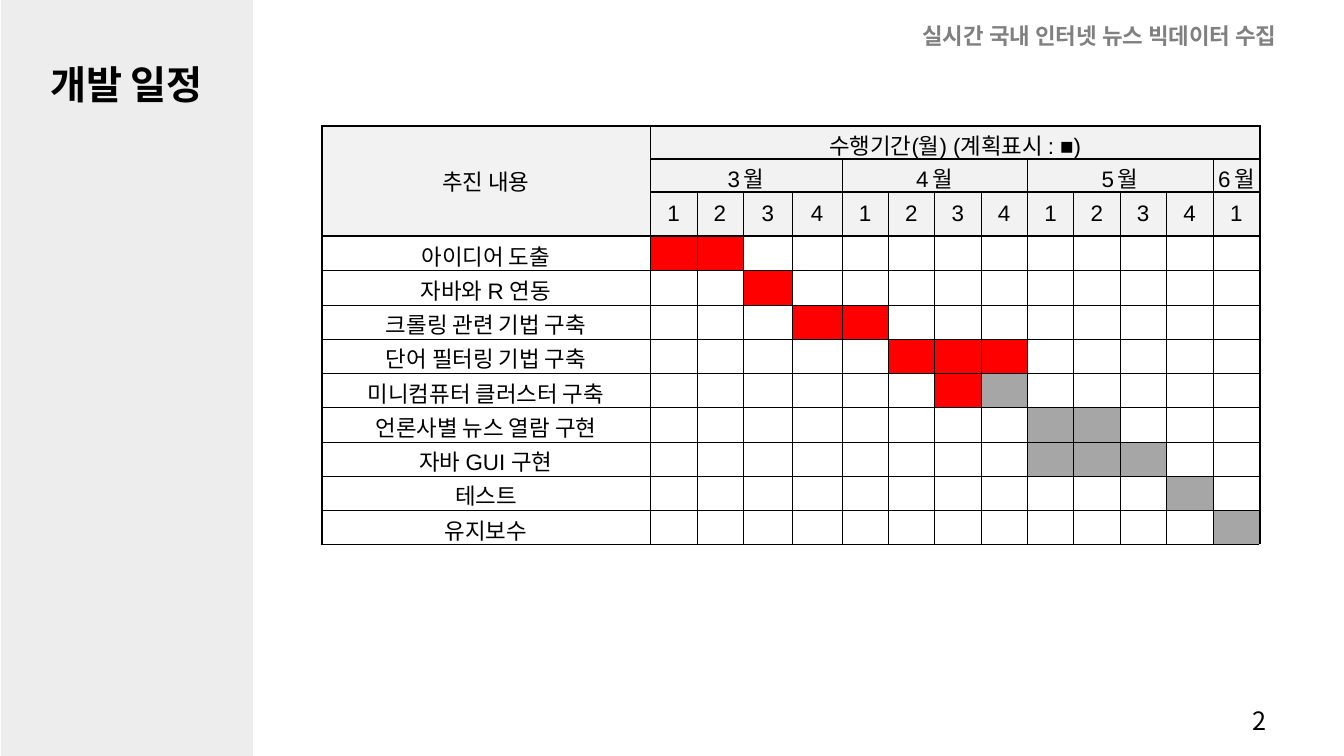
from dataclasses import dataclass

import lxml.etree
import pptx
import pptx.dml.color
import pptx.enum.shapes
import pptx.enum.text
import pptx.oxml.ns
import pptx.util

Inches = pptx.util.Inches
ALIGN = pptx.enum.text.PP_ALIGN
MIDDLE = pptx.enum.text.MSO_ANCHOR.MIDDLE


@dataclass(frozen=True)
class Theme:
    ink: str = "000000"
    paper: str = "FFFFFF"
    muted: str = "808080"
    sidebar: str = "EDEDED"
    header: str = "F2F2F2"
    done: str = "FF0000"
    planned: str = "A6A6A6"
    title_font: str = "Roboto"
    text_font: str = "Noto Sans CJK KR"
    table_font: str = "Arial"
    title_size: int = 28
    number_size: int = 18
    body_size: int = 16
    thin: float = 0.28
    outer: float = 1.41
    right_edge: float = 1.5
    under_header: float = 1.98
    month_spacing: float = -1.7


THEME = Theme()

# Months with their number of weeks
MONTHS = [("3 월", 4), ("4 월", 4), ("5 월", 4), ("6 월", 1)]
WEEKS = sum(weeks for _, weeks in MONTHS)

# Task, first week column, weeks done, weeks still planned
TASKS = [
    ("아이디어 도출", 1, 2, 0),
    ("자바와 R 연동", 3, 1, 0),
    ("크롤링 관련 기법 구축", 4, 2, 0),
    ("단어 필터링 기법 구축", 6, 3, 0),
    ("미니컴퓨터 클러스터 구축", 7, 1, 1),
    ("언론사별 뉴스 열람 구현", 9, 0, 2),
    ("자바 GUI 구현", 9, 0, 3),
    ("테스트", 12, 0, 1),
    ("유지보수", 13, 0, 1),
]

HEADER_ROWS = 3
BLANK_COLUMN = WEEKS + 1
COLUMN_WIDTHS = [3.26, 0.46, 0.46, 0.49, 0.49] + [0.46] * 8 + [0.47, 0.79]
ROW_HEIGHTS = [0.32, 0.32, 0.44] + [0.34] * len(TASKS)

# Weights of the grid lines, from the top down and from the left
ROW_LINES = ([THEME.outer] * HEADER_ROWS + [THEME.under_header]
             + [THEME.thin] * (len(TASKS) - 1) + [THEME.outer])
COLUMN_LINES = [THEME.outer] + [THEME.thin] * WEEKS + [THEME.right_edge]


def rgb(value):
    return pptx.dml.color.RGBColor.from_string(value)


def style(paragraph, font, size, color=THEME.ink, bold=False, align=None):
    paragraph.font.name = font
    paragraph.font.size = pptx.util.Pt(size)
    paragraph.font.bold = bold
    paragraph.font.color.rgb = rgb(color)
    paragraph.alignment = align


def place(shape, left, top, width, height):
    shape.left, shape.top = Inches(left), Inches(top)
    shape.width, shape.height = Inches(width), Inches(height)


def add_sidebar(slide):
    sidebar = slide.shapes.add_shape(
        pptx.enum.shapes.MSO_SHAPE.RECTANGLE,
        Inches(0.01), 0, Inches(2.5), Inches(7.5))
    sidebar.shadow.inherit = False
    sidebar.fill.solid()
    sidebar.fill.fore_color.rgb = rgb(THEME.sidebar)
    sidebar.line.fill.background()
    # The title lies in front of the sidebar
    slide.shapes.title.element.addprevious(sidebar.element)


def set_title(slide, text):
    title = slide.shapes.title
    place(title, -0.05, 0.55, 2.61, 0.57)
    title.text_frame.text = text
    title.text_frame.vertical_anchor = MIDDLE
    title.text_frame.auto_size = pptx.enum.text.MSO_AUTO_SIZE.SHAPE_TO_FIT_TEXT
    style(title.text_frame.paragraphs[0], THEME.title_font, THEME.title_size,
          bold=True, align=ALIGN.CENTER)


def add_label(slide, text, box, size, color=THEME.ink, bold=False, spacing=None):
    label = slide.shapes.add_textbox(*map(Inches, box)).text_frame
    label.word_wrap = True
    label.text = text
    label.paragraphs[0].line_spacing = spacing
    style(label.paragraphs[0], THEME.text_font, size, color, bold)


def set_border(cell, side, weight, color):
    properties = cell._tc.get_or_add_tcPr()
    line = lxml.etree.SubElement(
        properties, pptx.oxml.ns.qn(f"a:ln{side}"), w=str(pptx.util.Pt(weight)))
    fill = lxml.etree.SubElement(line, pptx.oxml.ns.qn("a:solidFill"))
    lxml.etree.SubElement(fill, pptx.oxml.ns.qn("a:srgbClr"), val=color)


def draw_borders(cell, row, column):
    height = cell.span_height if cell.is_merge_origin else 1
    width = cell.span_width if cell.is_merge_origin else 1
    if column == BLANK_COLUMN:
        set_border(cell, "L", THEME.right_edge, THEME.ink)
        for side in "RTB":
            set_border(cell, side, 1, THEME.paper)
        return
    set_border(cell, "L", COLUMN_LINES[column], THEME.ink)
    set_border(cell, "R", COLUMN_LINES[column + width], THEME.ink)
    set_border(cell, "T", ROW_LINES[row], THEME.ink)
    set_border(cell, "B", ROW_LINES[row + height], THEME.ink)


def fill_texts(table):
    table.cell(0, 0).text = "추진 내용"
    table.cell(0, 1).text = "수행기간(월) (계획표시 : ■)"
    table.cell(0, 0).merge(table.cell(HEADER_ROWS - 1, 0))
    table.cell(0, 1).merge(table.cell(0, WEEKS))
    table.cell(0, BLANK_COLUMN).merge(
        table.cell(len(ROW_HEIGHTS) - 1, BLANK_COLUMN))
    # Months over their weeks
    first = 1
    for month, weeks in MONTHS:
        heading = table.cell(1, first)
        heading.text = month
        run = heading.text_frame.paragraphs[0].runs[0]
        run._r.get_or_add_rPr().set("spc", str(round(THEME.month_spacing * 100)))
        if weeks > 1:
            heading.merge(table.cell(1, first + weeks - 1))
        for week in range(weeks):
            table.cell(2, first + week).text = str(week + 1)
        first += weeks
    for row, (task, *_) in enumerate(TASKS, HEADER_ROWS):
        table.cell(row, 0).text = task


def cell_color(row, column):
    if column == BLANK_COLUMN:
        return None
    if row < HEADER_ROWS:
        return THEME.header
    _, start, done, planned = TASKS[row - HEADER_ROWS]
    if start <= column < start + done:
        return THEME.done
    if start + done <= column < start + done + planned:
        return THEME.planned
    return None


def format_cell(cell, row, column):
    cell.vertical_anchor = MIDDLE
    cell.margin_top = cell.margin_bottom = Inches(0.03 if cell.text else 0)
    # The single-week month needs the whole width of its cell
    side_margin = 0 if (row, column) == (1, WEEKS) else 0.03
    cell.margin_left = cell.margin_right = Inches(side_margin)
    style(cell.text_frame.paragraphs[0], THEME.table_font, THEME.body_size,
          align=ALIGN.CENTER)
    draw_borders(cell, row, column)
    color = cell_color(row, column)
    if color:
        cell.fill.solid()
        cell.fill.fore_color.rgb = rgb(color)
    else:
        cell.fill.background()


def add_schedule(slide):
    table = slide.shapes.add_table(
        len(ROW_HEIGHTS), len(COLUMN_WIDTHS), Inches(3.19), Inches(1.25),
        Inches(sum(COLUMN_WIDTHS)), Inches(sum(ROW_HEIGHTS))).table
    table.first_row = table.horz_banding = False
    for column, width in zip(table.columns, COLUMN_WIDTHS):
        column.width = Inches(width)
    for row, height in zip(table.rows, ROW_HEIGHTS):
        row.height = Inches(height)
    fill_texts(table)
    for row in range(len(ROW_HEIGHTS)):
        for column in range(len(COLUMN_WIDTHS)):
            cell = table.cell(row, column)
            if not cell.is_spanned:
                format_cell(cell, row, column)


def main():
    deck = pptx.Presentation()
    deck.slide_width, deck.slide_height = Inches(13.33), Inches(7.5)
    slide = deck.slides.add_slide(deck.slide_layouts[5])
    add_sidebar(slide)
    set_title(slide, "개발 일정")
    add_label(slide, "2", (12.32, 6.95, 0.54, 0.4), THEME.number_size)
    add_schedule(slide)
    add_label(slide, "실시간 국내 인터넷 뉴스 빅데이터 수집", (9.05, -0.02, 4.28, 0.49),
              THEME.body_size, THEME.muted, bold=True, spacing=1.7)
    deck.save("out.pptx")


if __name__ == "__main__":
    main()
